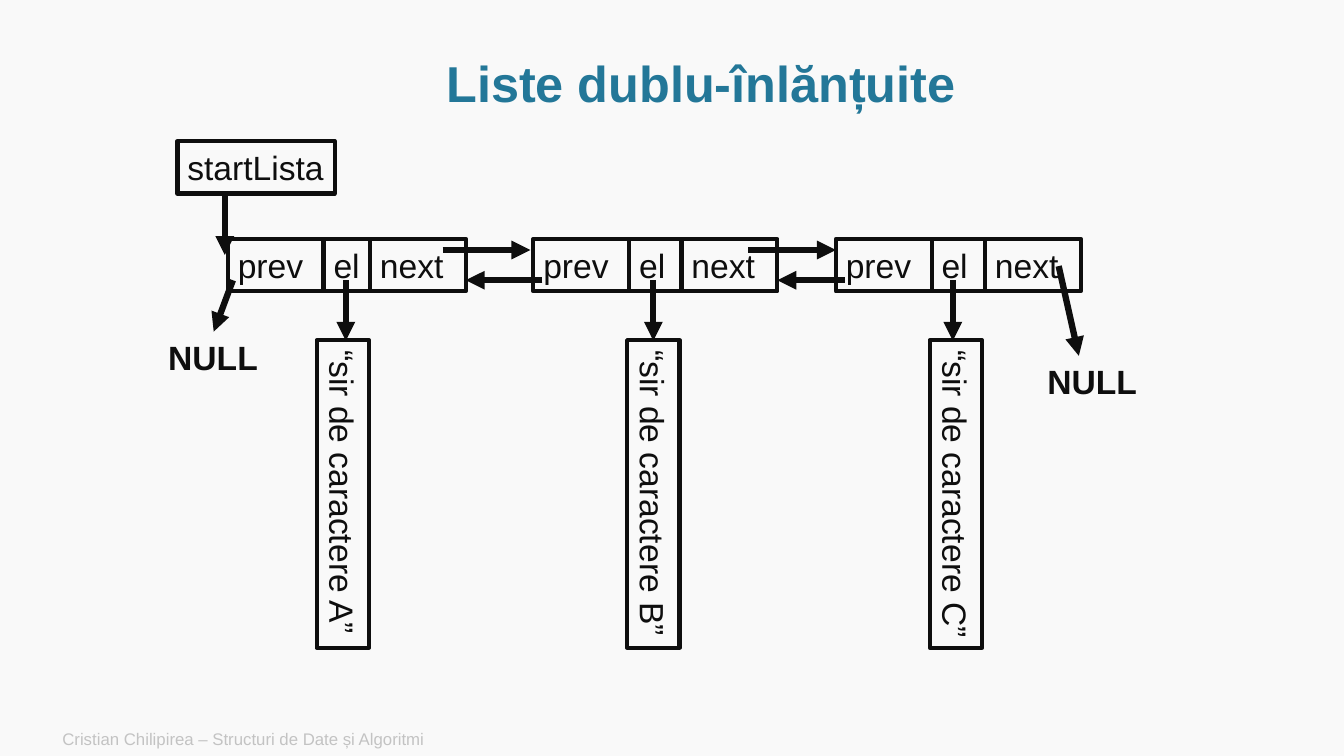
from dataclasses import dataclass
from lxml.etree import SubElement
from pptx import Presentation
from pptx.dml.color import RGBColor
from pptx.enum.shapes import MSO_CONNECTOR, MSO_SHAPE
from pptx.enum.text import MSO_ANCHOR, MSO_AUTO_SIZE, PP_ALIGN
from pptx.oxml.ns import qn
from pptx.shapes.base import BaseShape
from pptx.slide import Slide
from pptx.util import Inches, Pt

INK = RGBColor(0x0E, 0x0E, 0x0E)
TITLE_BLUE = RGBColor(0x23, 0x77, 0x98)
FOOTER_GRAY = RGBColor(0xC3, 0xC3, 0xC3)
BACKGROUND = RGBColor(0xF9, 0xF9, 0xF9)

COLUMNS, ROWS = 13.33, 7.5
SLIDE_WIDTH, SLIDE_HEIGHT = Inches(13.33), Inches(7.5)
COLUMN, ROW = SLIDE_WIDTH / COLUMNS, SLIDE_HEIGHT / ROWS

NODE_TOP = 2.37
BOX_HEIGHT = 0.52
FIELD_WIDTH = 0.95
STRING_TOP = 4.64
STRING_LENGTH = 3.05
FORWARD_ROW = 2.48
POINTER_ROW = 2.78
STRING_START = 3.38


@dataclass(frozen=True)
class Area:
    left: float
    top: float
    width: float
    height: float

    def place(self) -> tuple[int, int, int, int]:
        return (round(self.left * COLUMN), round(self.top * ROW),
                round(self.width * COLUMN), round(self.height * ROW))


@dataclass(frozen=True)
class TextStyle:
    size: int = 24
    color: RGBColor = INK
    bold: bool = False
    align: PP_ALIGN = PP_ALIGN.LEFT
    anchor: MSO_ANCHOR = MSO_ANCHOR.MIDDLE
    wrap: bool = False
    spacing: float = 1.0


@dataclass(frozen=True)
class Node:
    prev_left: float
    next_left: float
    pointer: float
    string_center: float
    string: str


@dataclass(frozen=True)
class Arrow:
    start: tuple[float, float]
    end: tuple[float, float]


BOX_STYLE = TextStyle()
NULL_STYLE = TextStyle(bold=True, anchor=MSO_ANCHOR.TOP)
TITLE_STYLE = TextStyle(36, TITLE_BLUE, True, PP_ALIGN.CENTER, wrap=True, spacing=0.9)
FOOTER_STYLE = TextStyle(12, FOOTER_GRAY, wrap=True)

NODES = [
    Node(2.26, 3.67, 3.43, 3.4, "“sir de caractere A”"),
    Node(5.29, 6.76, 6.48, 6.48, "“sir de caractere B”"),
    Node(8.29, 9.77, 9.45, 9.48, "“sir de caractere C”"),
]

LINK_ARROWS = [
    Arrow((2.23, 1.93), (2.23, 2.53)),
    Arrow((2.31, POINTER_ROW), (2.12, 3.29)),
    Arrow((4.39, FORWARD_ROW), (5.26, FORWARD_ROW)),
    Arrow((7.42, FORWARD_ROW), (8.29, FORWARD_ROW)),
    Arrow((5.38, POINTER_ROW), (4.62, POINTER_ROW)),
    Arrow((8.38, POINTER_ROW), (7.71, POINTER_ROW)),
    Arrow((10.5, 2.64), (10.7, 3.53)),
]


def write_text(shape: BaseShape, text: str, style: TextStyle) -> None:
    frame = shape.text_frame
    frame.word_wrap = style.wrap
    frame.vertical_anchor = style.anchor
    paragraph = frame.paragraphs[0]
    paragraph.text = text
    paragraph.alignment = style.align
    paragraph.line_spacing = style.spacing
    paragraph.font.name = "Arial"
    paragraph.font.size = Pt(style.size)
    paragraph.font.bold = style.bold
    paragraph.font.color.rgb = style.color


def add_label(slide: Slide, area: Area, text: str, style: TextStyle) -> BaseShape:
    label = slide.shapes.add_textbox(*area.place())
    write_text(label, text, style)
    return label


def add_box(slide: Slide, area: Area, text: str) -> BaseShape:
    box = slide.shapes.add_shape(MSO_SHAPE.RECTANGLE, *area.place())
    box.shadow.inherit = False
    box.fill.background()
    box.line.color.rgb = INK
    box.line.width = Pt(3)
    write_text(box, text, BOX_STYLE)
    return box


def add_arrow(slide: Slide, arrow: Arrow) -> None:
    (start_x, start_y), (end_x, end_y) = arrow.start, arrow.end
    connector = slide.shapes.add_connector(
        MSO_CONNECTOR.STRAIGHT,
        round(start_x * COLUMN), round(start_y * ROW),
        round(end_x * COLUMN), round(end_y * ROW))
    connector.line.color.rgb = INK
    connector.line.width = Pt(4.5)
    SubElement(connector.line._get_or_add_ln(), qn("a:tailEnd"), type="triangle")
    SubElement(connector._element.spPr, qn("a:effectLst"))


def add_node(slide: Slide, node: Node) -> None:
    element_left = node.prev_left + FIELD_WIDTH
    fields = [
        ("prev", node.prev_left, FIELD_WIDTH),
        ("el", element_left, node.next_left - element_left),
        ("next", node.next_left, FIELD_WIDTH),
    ]
    for text, left, width in fields:
        add_box(slide, Area(left, NODE_TOP, width, BOX_HEIGHT), text)
    string_left = node.string_center - STRING_LENGTH / 2
    string_area = Area(string_left, STRING_TOP, STRING_LENGTH, BOX_HEIGHT)
    add_box(slide, string_area, node.string).rotation = 90
    add_arrow(slide, Arrow((node.pointer, POINTER_ROW), (node.pointer, STRING_START)))


def main() -> None:
    presentation = Presentation()
    presentation.slide_width = SLIDE_WIDTH
    presentation.slide_height = SLIDE_HEIGHT
    slide = presentation.slides.add_slide(presentation.slide_layouts[6])
    slide.background.fill.solid()
    slide.background.fill.fore_color.rgb = BACKGROUND

    add_label(slide, Area(0.52, 7.16, 8.4, 0.34),
              "Cristian Chilipirea – Structuri de Date și Algoritmi", FOOTER_STYLE)
    add_label(slide, Area(1.14, 0.51, 11.63, 0.69), "Liste dublu-înlănțuite", TITLE_STYLE)
    add_box(slide, Area(1.76, 1.4, 1.56, BOX_HEIGHT), "startLista")
    for node in NODES:
        add_node(slide, node)
    for left, top in [(1.57, 3.29), (10.29, 3.53)]:
        null_label = add_label(slide, Area(left, top, 1.1, 0.5), "NULL", NULL_STYLE)
        null_label.text_frame.auto_size = MSO_AUTO_SIZE.SHAPE_TO_FIT_TEXT
    for arrow in LINK_ARROWS:
        add_arrow(slide, arrow)

    presentation.save("out.pptx")


if __name__ == "__main__":
    main()
